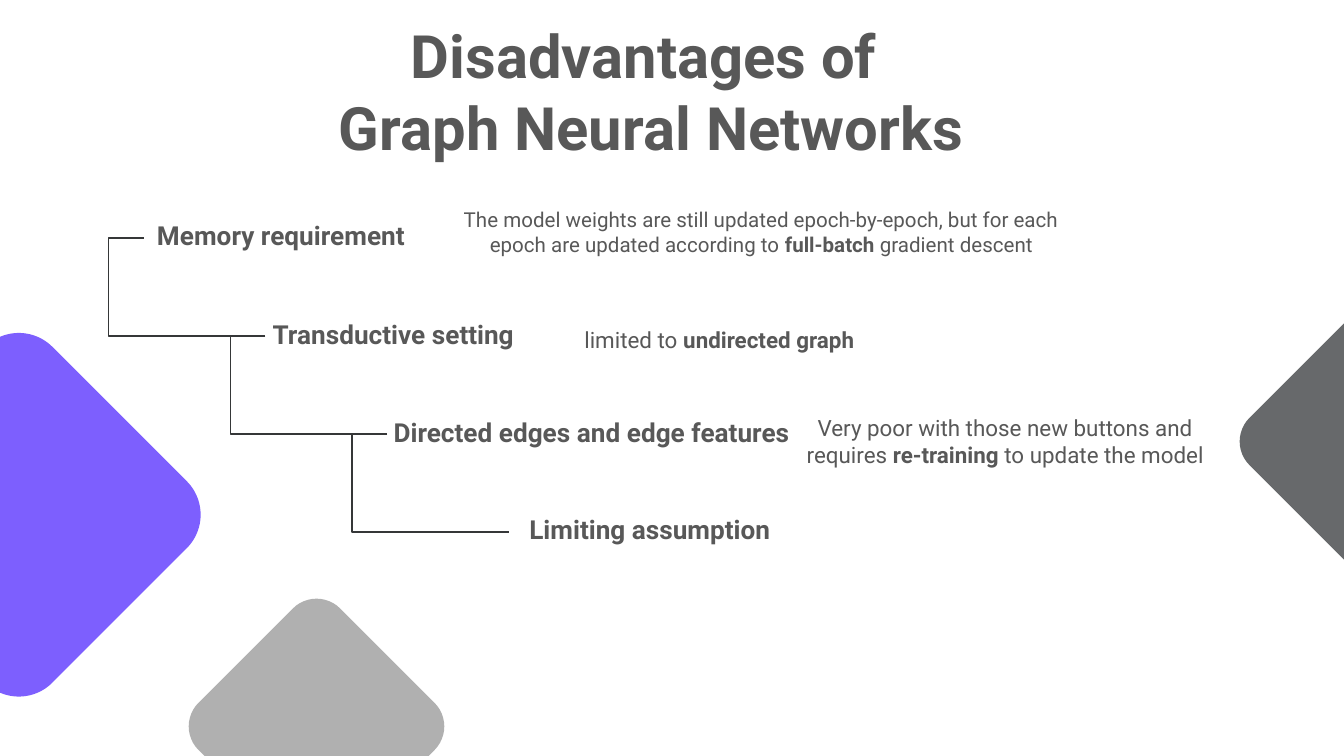
from lxml import etree
from pptx import Presentation
from pptx.dml.color import RGBColor
from pptx.enum.shapes import MSO_CONNECTOR, MSO_SHAPE
from pptx.enum.text import MSO_ANCHOR, MSO_AUTO_SIZE, PP_ALIGN
from pptx.oxml.ns import qn
from pptx.util import Inches, Pt

ELBOW = MSO_CONNECTOR.ELBOW
ROUNDED = MSO_SHAPE.ROUNDED_RECTANGLE
TOP = MSO_ANCHOR.TOP
NO_FIT = MSO_AUTO_SIZE.NONE
LEFT, CENTER = PP_ALIGN.LEFT, PP_ALIGN.CENTER

CELL = 0.1  # side of a grid cell in inches
COLS, ROWS = 100, 56.25
FONT = "Roboto"
TEXT, LINE = "585858", "353738"
VIOLET, LIGHT_GRAY, DARK_GRAY = "7D5FFE", "B0B0B0", "67696B"
TITLE_LAYOUT = 5

STEP_COL, STEP_ROW = 9.05, 7.3
FIRST_COL, FIRST_ROW = 10.7, 17.7
ELBOW_BEND = -28800  # bend to the left of the start, in 1/100000 of the width

TITLE = "Disadvantages of\n Graph Neural Networks"
# text, column, row, width, height
DRAWBACKS = [
    ("Memory requirement", 10.7, 15.8, 27, 5.7),
    ("Transductive setting", 19.3, 23.2, 20.2, 3.4),
    ("Directed edges and edge features", 28.3, 30.5, 35.2, 5.7),
    ("Limiting assumption", 38.4, 37.7, 23.6, 5.7),
]
# column, row, side, colour
DIAMONDS = [
    (-9.2, 27.7, 21.2, VIOLET),
    (16.1, 46.6, 14.9, LIGHT_GRAY),
    (94.3, 25.4, 14.9, DARK_GRAY),
]


def cells(*counts):
    return [Inches(count * CELL) for count in counts]


def color(hex_string):
    return RGBColor.from_string(hex_string)


class Deck:
    def __init__(self):
        self.presentation = Presentation()
        self.presentation.slide_width, self.presentation.slide_height = cells(COLS, ROWS)
        layout = self.presentation.slide_layouts[TITLE_LAYOUT]
        self.slide = self.presentation.slides.add_slide(layout)

    def style(self, paragraph, size, align):
        paragraph.alignment = align
        for run in paragraph.runs:
            run.font.name = FONT
            run.font.size = Pt(size)
            run.font.color.rgb = color(TEXT)

    def title(self, text, col, row, width, height):
        title = self.slide.shapes.title
        title.left, title.top, title.width, title.height = cells(col, row, width, height)
        frame = title.text_frame
        frame.text = text
        frame.auto_size = NO_FIT
        frame.vertical_anchor = TOP
        for paragraph in frame.paragraphs:
            self.style(paragraph, 32, CENTER)
            for run in paragraph.runs:
                run.font.bold = True

    def text(self, marked, col, row, width, height, size, align=LEFT, wrap=True):
        """Add a text box; parts between double asterisks are bold."""
        box = self.slide.shapes.add_textbox(*cells(col, row, width, height))
        box.text_frame.word_wrap = wrap
        paragraph = box.text_frame.paragraphs[0]
        for index, part in enumerate(marked.split("**")):
            if part:
                run = paragraph.add_run()
                run.text = part
                run.font.bold = index % 2 == 1
        self.style(paragraph, size, align)

    def diamond(self, col, row, side, fill):
        diamond = self.slide.shapes.add_shape(ROUNDED, *cells(col, row, side, side))
        diamond.rotation = 315
        diamond.shadow.inherit = False
        diamond.fill.solid()
        diamond.fill.fore_color.rgb = color(fill)
        diamond.line.fill.background()

    def elbow(self, col, row, end_col, end_row):
        elbow = self.slide.shapes.add_connector(ELBOW, *cells(col, row, end_col, end_row))
        elbow.line.color.rgb = color(LINE)
        elbow.line.width = Pt(0.75)
        properties = elbow._element.spPr
        etree.SubElement(properties, qn("a:effectLst"))
        geometry = properties.find(qn("a:prstGeom"))
        adjustments = geometry.find(qn("a:avLst"))
        if adjustments is None:
            adjustments = etree.SubElement(geometry, qn("a:avLst"))
        etree.SubElement(adjustments, qn("a:gd"), name="adj1", fmla=f"val {ELBOW_BEND}")


def main():
    deck = Deck()
    for diamond in DIAMONDS:
        deck.diamond(*diamond)
    deck.title(TITLE, 14.2, 0.9, 67.4, 11.8)

    for drawback, *place in DRAWBACKS:
        deck.text(f"**{drawback}**", *place, size=14)
    for level in range(len(DRAWBACKS) - 1):
        col = FIRST_COL + level * STEP_COL
        row = FIRST_ROW + level * STEP_ROW
        deck.elbow(col, row, col + STEP_COL, row + STEP_ROW)

    deck.text("The model weights are still updated epoch-by-epoch, but for each epoch "
              "are updated according to **full-batch** gradient descent",
              33.4, 14.9, 46.5, 4.7, size=11, align=CENTER)
    deck.text("limited to **undirected graph**", 42.5, 23.8, 22.4, 3, size=12, wrap=False)
    deck.text("Very poor with those new buttons and requires **re-training** "
              "to update the model",
              58.6, 30.3, 32.4, 5, size=12, align=CENTER)
    deck.presentation.save("out.pptx")


if __name__ == "__main__":
    main()
